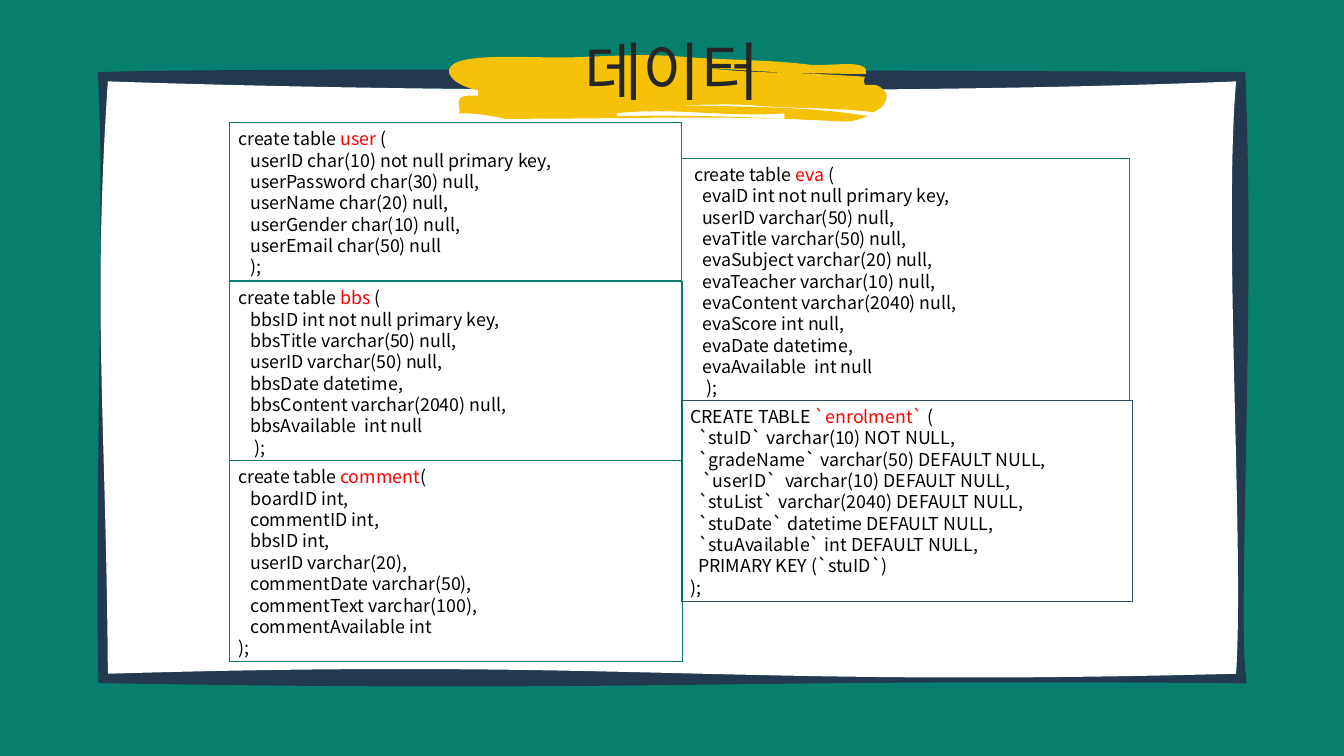
from dataclasses import dataclass

from lxml import etree
from pptx import Presentation
from pptx.dml.color import RGBColor
from pptx.enum.shapes import MSO_SHAPE
from pptx.enum.text import MSO_ANCHOR, PP_ALIGN
from pptx.oxml.ns import qn
from pptx.util import Inches, Pt

RECTANGLE = MSO_SHAPE.RECTANGLE
TOP = MSO_ANCHOR.TOP
LEFT, CENTER = PP_ALIGN.LEFT, PP_ALIGN.CENTER


@dataclass(frozen=True)
class Theme:
    font: str = "Noto Sans CJK KR"
    green: str = "067F6E"
    navy: str = "223950"
    blue: str = "2D4C6B"
    yellow: str = "F5C207"
    white: str = "FFFFFF"
    black: str = "000000"
    dark: str = "262626"
    red: str = "FF0000"
    title_size: int = 50
    code_size: int = 14
    line_height: float = 1.2
    space_width: float = 0.044


THEME = Theme()

FRAME = [(1.18, 0.89),
         (2.95, 0.84, 9.61, 0.88, 13.52, 0.89),
         (13.62, 3.35, 13.44, 6.62, 13.52, 7.37),
         (7.82, 7.32, 7.03, 7.47, 1.18, 7.37),
         (1.14, 5.62, 1.25, 2.12, 1.18, 0.89)]
BOARD = [(1.18, 0.89),
         (4.99, 1.02, 10.4, 1.02, 13.52, 0.89),
         (13.38, 2.53, 13.61, 5.99, 13.52, 7.37),
         (7.83, 7.52, 6.89, 7.2, 1.18, 7.37),
         (1.16, 4.56, 1.01, 3.43, 1.18, 0.89)]
BRUSH = [(9.55, 1.23), (9.53, 1.23, 9.51, 1.22, 9.49, 1.22),
         (9.12, 1.18, 8.74, 1.19, 8.32, 1.16), (8.03, 1.13, 7.7, 1.15, 7.4, 1.15),
         (8.1, 1.17, 8.83, 1.16, 9.49, 1.27), (9.42, 1.3, 9.34, 1.33, 9.25, 1.33),
         (9.02, 1.32, 8.8, 1.31, 8.58, 1.3), (8.58, 1.24),
         (7.95, 1.29, 7.37, 1.17, 6.74, 1.24), (6.76, 1.25, 6.75, 1.26, 6.75, 1.27),
         (7.37, 1.26, 7.94, 1.27, 8.55, 1.3), (7.6, 1.27, 6.67, 1.3, 5.69, 1.3),
         (5.65, 1.3, 5.57, 1.3, 5.52, 1.3), (5.36, 1.26, 5.19, 1.24, 5.02, 1.24),
         (5.06, 1.17, 4.9, 1.02, 5.23, 1.05), (5.23, 0.99),
         (4.9, 0.92, 4.77, 0.71, 5.11, 0.65), (5.48, 0.59, 5.98, 0.65, 6.44, 0.62),
         (6.78, 0.61, 7.11, 0.59, 7.45, 0.62), (7.91, 0.66, 8.41, 0.65, 8.87, 0.71),
         (9.04, 0.72, 9.33, 0.68, 9.42, 0.72), (9.48, 0.74, 9.48, 0.78, 9.47, 0.81),
         (9.2, 0.81, 8.92, 0.8, 8.65, 0.8), (8.32, 0.78, 8, 0.76, 7.67, 0.74),
         (7.66, 0.73, 7.67, 0.74, 7.68, 0.74), (8, 0.78, 8.32, 0.79, 8.65, 0.8),
         (8.92, 0.81, 9.19, 0.82, 9.46, 0.84), (9.45, 0.87, 9.44, 0.9, 9.46, 0.93),
         (9.58, 0.93), (9.75, 1, 9.71, 1.11, 9.63, 1.18),
         (9.61, 1.2, 9.58, 1.21, 9.55, 1.23)]

USER = """create table user (
   userID char(10) not null primary key,
   userPassword char(30) null,
   userName char(20) null,
   userGender char(10) null,
   userEmail char(50) null
   );"""
COMMENT = """create table comment(
   boardID int,
   commentID int,
   bbsID int,
   userID varchar(20),
   commentDate varchar(50),
   commentText varchar(100),
   commentAvailable int
);"""
EVA = """ create table eva (
   evaID int not null primary key,
   userID varchar(50) null,
   evaTitle varchar(50) null,
   evaSubject varchar(20) null,
   evaTeacher varchar(10) null,
   evaContent varchar(2040) null,
   evaScore int null,
   evaDate datetime,
   evaAvailable  int null
    );"""
BBS = """create table bbs (
   bbsID int not null primary key,
   bbsTitle varchar(50) null,
   userID varchar(50) null,
   bbsDate datetime,
   bbsContent varchar(2040) null,
   bbsAvailable  int null
    );"""
ENROLMENT = """CREATE TABLE `enrolment` (
  `stuID` varchar(10) NOT NULL,
  `gradeName` varchar(50) DEFAULT NULL,
   `userID`  varchar(10) DEFAULT NULL,
  `stuList` varchar(2040) DEFAULT NULL,
  `stuDate` datetime DEFAULT NULL,
  `stuAvailable` int DEFAULT NULL,
  PRIMARY KEY (`stuID`)
);"""


def paint(sp, fill=None, line=None, width=0.75):
    sp.shadow.inherit = False
    if fill:
        sp.fill.solid()
        sp.fill.fore_color.rgb = RGBColor.from_string(fill)
    else:
        sp.fill.background()
    if line:
        sp.line.color.rgb = RGBColor.from_string(line)
        sp.line.width = Pt(width)
        etree.SubElement(sp.line._get_or_add_ln(), qn("a:miter"), lim="800000")
    else:
        sp.line.fill.background()


def add_curves(s, x, y, w, h, outlines, **style):
    builder = s.shapes.build_freeform(Inches(x), Inches(y))
    builder.add_line_segments([(Inches(x + w), Inches(y)), (Inches(x + w), Inches(y + h))])
    sp = builder.convert_to_shape()
    paths = sp._element.spPr.find(".//" + qn("a:pathLst"))
    paths.clear()
    for outline, flags in outlines:
        path = etree.SubElement(paths, qn("a:path"), w=str(Inches(w)), h=str(Inches(h)), **flags)
        for i, segment in enumerate(outline):
            tag = "a:moveTo" if i == 0 else "a:lnTo" if len(segment) == 2 else "a:cubicBezTo"
            command = etree.SubElement(path, qn(tag))
            for px, py in zip(segment[::2], segment[1::2]):
                etree.SubElement(command, qn("a:pt"), x=str(Inches(px - x)), y=str(Inches(py - y)))
        etree.SubElement(path, qn("a:close"))
    paint(sp, **style)


def add_text(p, text, size=THEME.code_size, color=THEME.black, align=LEFT):
    p.alignment = align
    p.line_spacing = Pt(size * THEME.line_height)
    r = p.add_run()
    r.text = text
    r.font.name = THEME.font
    r.font.size = Pt(size)
    r.font.color.rgb = RGBColor.from_string(color)


def indent(p, spaces):
    pPr = p._p.get_or_add_pPr()
    pPr.set("marL", str(Inches(spaces * THEME.space_width)))
    pPr.set("indent", "0")


def add_code(s, x, y, w, h, code, name, line=THEME.green):
    sp = s.shapes.add_shape(RECTANGLE, Inches(x), Inches(y), Inches(w), Inches(h))
    paint(sp, line=line)
    tf = sp.text_frame
    tf.word_wrap = True
    tf.vertical_anchor = TOP
    tf.margin_top = Inches(0.06)
    for i, row in enumerate(code.splitlines()):
        p = tf.add_paragraph() if i else tf.paragraphs[0]
        text = row.lstrip()
        indent(p, len(row) - len(text))
        if i:
            add_text(p, text)
        else:
            before, after = text.split(name)
            add_text(p, before)
            add_text(p, name, color=THEME.red)
            add_text(p, after)


def add_title(s, x, y, w, h, text):
    tf = s.shapes.add_textbox(Inches(x), Inches(y), Inches(w), Inches(h)).text_frame
    tf.word_wrap = True
    add_text(tf.paragraphs[0], text, size=THEME.title_size, color=THEME.dark, align=CENTER)


def main():
    prs = Presentation()
    prs.slide_width, prs.slide_height = Inches(14.7), Inches(8.27)
    s = prs.slides.add_slide(prs.slide_layouts[6])
    s.background.fill.solid()
    s.background.fill.fore_color.rgb = RGBColor.from_string(THEME.green)
    add_curves(s, 1.18, 0.89, 12.34, 6.48, [(FRAME, {"fill": "none"}), (BOARD, {"stroke": "0"})],
               fill=THEME.white, line=THEME.navy, width=15)
    add_code(s, 2.51, 1.34, 4.94, 1.73, USER, "user")
    add_code(s, 2.51, 5.04, 4.95, 2.2, COMMENT, "comment")
    add_code(s, 7.45, 1.73, 4.9, 2.65, EVA, "eva")
    add_code(s, 2.51, 3.08, 4.95, 1.96, BBS, "bbs")
    add_curves(s, 4.91, 0.6, 4.79, 0.73, [(BRUSH, {})], fill=THEME.yellow)
    add_title(s, 4.67, 0.3, 5.36, 0.93, "데이터")
    add_code(s, 7.45, 4.38, 4.94, 2.2, ENROLMENT, "`enrolment`", line=THEME.blue)
    prs.save("out.pptx")


if __name__ == "__main__":
    main()
